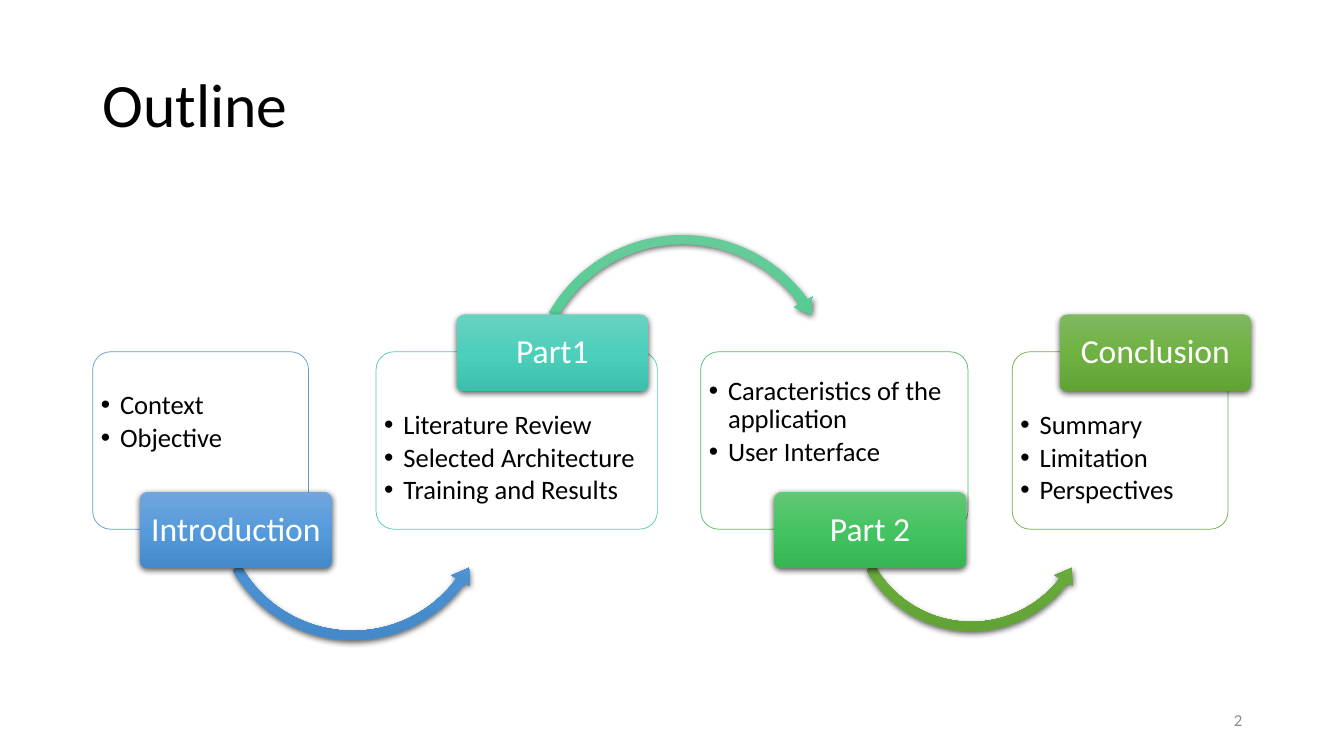
from copy import deepcopy
from dataclasses import dataclass

from lxml.etree import SubElement
from pptx import Presentation
from pptx.dml.color import RGBColor as RGB
from pptx.enum.shapes import MSO_SHAPE as SHAPE
from pptx.enum.text import MSO_ANCHOR as ANCHOR, PP_ALIGN as ALIGN
from pptx.oxml.ns import qn
from pptx.util import Inches, Pt


@dataclass(frozen=True)
class Theme:
    font: str = "Calibri"
    title_size: int = 44
    label_size: int = 24
    item_size: int = 19
    number_size: int = 12
    ink: str = "000000"
    paper: str = "FFFFFF"
    muted: str = "8C8C8C"
    # Gradient stops from top to bottom
    blue: tuple = ("71A6DB", "559BDB", "448ACA")
    teal: tuple = ("6AD1C0", "4CD0BC", "3CC0AC")
    mint: tuple = ("67CC9A", "47CB8E", "39BB7F")
    green: tuple = ("64C677", "44C460", "36B552")
    olive: tuple = ("81B861", "6FB242", "62A336")


CARD_TOP, CARD_HEIGHT = 3.49, 1.76
LABEL_WIDTH, LABEL_HEIGHT = 1.9, 0.76
LABEL_TOP_HIGH, LABEL_TOP_LOW = 3.12, 4.88
INDENT = 0.19
CORNER = 0.1


class OutlineSlide:
    def __init__(self, slide, theme):
        self.slide, self.theme = slide, theme

    def style(self, paragraph, size, color, align=ALIGN.LEFT, spacing=0.9):
        paragraph.alignment = align
        paragraph.line_spacing = spacing
        font = paragraph.font
        font.name, font.size = self.theme.font, Pt(size)
        font.color.rgb = RGB.from_string(color)

    def frame(self, shape, insets):
        frame = shape.text_frame
        frame.word_wrap = True
        frame.vertical_anchor = ANCHOR.MIDDLE
        (frame.margin_left, frame.margin_top,
         frame.margin_right, frame.margin_bottom) = map(Inches, insets)
        return frame

    def text(self, words, box, size, color, align=ALIGN.LEFT):
        shape = self.slide.shapes.add_textbox(*map(Inches, box))
        paragraph = self.frame(shape, (0.1, 0.05, 0.1, 0.05)).paragraphs[0]
        paragraph.text = words
        self.style(paragraph, size, color, align)

    def shape(self, kind, box, adjustments):
        shape = self.slide.shapes.add_shape(kind, *map(Inches, box))
        shape.shadow.inherit = False
        for index, value in enumerate(adjustments):
            shape.adjustments[index] = value
        return shape

    def raised(self, kind, box, adjustments, colors):
        """Shape with a vertical gradient and a soft shadow."""
        shape = self.shape(kind, box, adjustments)
        shape.line.fill.background()
        shape.fill.gradient()
        shape.fill.gradient_angle = 270
        properties = shape.element.spPr
        stops = properties.find(".//" + qn("a:gsLst"))
        stops.append(deepcopy(stops[-1]))
        for index, stop in enumerate(shape.fill.gradient_stops):
            stop.position = index / 2
            stop.color.rgb = RGB.from_string(colors[index])
        shadow = SubElement(
            properties.find(qn("a:effectLst")), qn("a:outerShdw"),
            blurRad=str(Pt(4.5)), dist=str(Pt(1.5)), dir="5400000",
            algn="ctr", rotWithShape="0")
        shade = SubElement(shadow, qn("a:srgbClr"), val=self.theme.ink)
        SubElement(shade, qn("a:alpha"), val="63000")
        return shape

    def card(self, left, width, items, color, label_low):
        card = self.shape(SHAPE.ROUNDED_RECTANGLE,
                          (left, CARD_TOP, width, CARD_HEIGHT), [CORNER])
        card.fill.solid()
        card.fill.fore_color.rgb = RGB.from_string(self.theme.paper)
        tint = card.element.spPr.find(qn("a:solidFill"))[0]
        SubElement(tint, qn("a:alpha"), val="90000")
        card.line.color.rgb = RGB.from_string(color)
        card.line.width = Pt(0.5)

        # Keep the list clear of the label
        top, bottom = (0.04, 0.4) if label_low else (0.4, 0.04)
        frame = self.frame(card, (0.03, top, 0.03, bottom))
        frame.text = "\n".join(items)
        for paragraph in frame.paragraphs:
            paragraph.level = 1
            settings = paragraph._p.get_or_add_pPr()
            settings.set("marL", str(Inches(INDENT)))
            settings.set("indent", str(-Inches(INDENT)))
            SubElement(settings, qn("a:buFont"), typeface="Arial")
            SubElement(settings, qn("a:buChar"), char="•")
            self.style(paragraph, self.theme.item_size, self.theme.ink)
            paragraph.space_after = Pt(0.15 * self.theme.item_size)

    def arrow(self, kind, left, top, size, adjustments, colors):
        self.raised(kind, (left, top, size, size), adjustments, colors)

    def label(self, words, left, low, colors):
        top = LABEL_TOP_LOW if low else LABEL_TOP_HIGH
        label = self.raised(SHAPE.ROUNDED_RECTANGLE,
                            (left, top, LABEL_WIDTH, LABEL_HEIGHT),
                            [CORNER], colors)
        paragraph = self.frame(label, (0.05, 0.03, 0.05, 0.03)).paragraphs[0]
        paragraph.text = words
        self.style(paragraph, self.theme.label_size, self.theme.paper,
                   ALIGN.CENTER)


def main():
    deck = Presentation()
    deck.slide_width, deck.slide_height = Inches(13.33), Inches(7.5)
    theme = Theme()
    outline = OutlineSlide(
        deck.slides.add_slide(deck.slide_layouts[6]), theme)

    # Title
    outline.text("Outline", (0.92, 0.4, 11.5, 1.33),
                 theme.title_size, theme.ink)

    # Steps: label, label left, gradient, card left, width, border, items, arrow
    under, over = SHAPE.LEFT_CIRCULAR_ARROW, SHAPE.CIRCULAR_ARROW
    steps = [
        ("Introduction", 1.39, theme.blue, 0.92, 2.14, "5B9BD5",
         ["Context", "Objective"],
         (under, 2.07, 3.55, 2.86,
          (0.032, 3.93, 21.685, 90.245, 0.037), theme.blue)),
        ("Part1", 4.53, theme.teal, 3.73, 2.79, "52CAB8",
         ["Literature Review", "Selected Architecture",
          "Training and Results"],
         (over, 5.19, 2.27, 3.16,
          (0.029, 3.535, 194.71, 125.755, 0.034), theme.mint)),
        ("Part 2", 7.68, theme.green, 6.95, 2.65, "49BF64",
         ["Caracteristics of the application", "User Interface"],
         (under, 8.38, 3.81, 2.51,
          (0.036, 4.526, 22.281, 90.245, 0.042), theme.olive)),
        ("Conclusion", 10.51, theme.olive, 10.04, 2.14, "70AD47",
         ["Summary", "Limitation", "Perspectives"], None),
    ]
    for index, (name, label_left, colors, left, width, border,
                items, arrow) in enumerate(steps):
        low = index % 2 == 0
        outline.card(left, width, items, border, low)
        if arrow:
            outline.arrow(*arrow)
        outline.label(name, label_left, low, colors)

    # Page number
    outline.text("2", (9.42, 6.95, 3, 0.4), theme.number_size, theme.muted,
                 ALIGN.RIGHT)

    deck.save("out.pptx")


if __name__ == "__main__":
    main()
